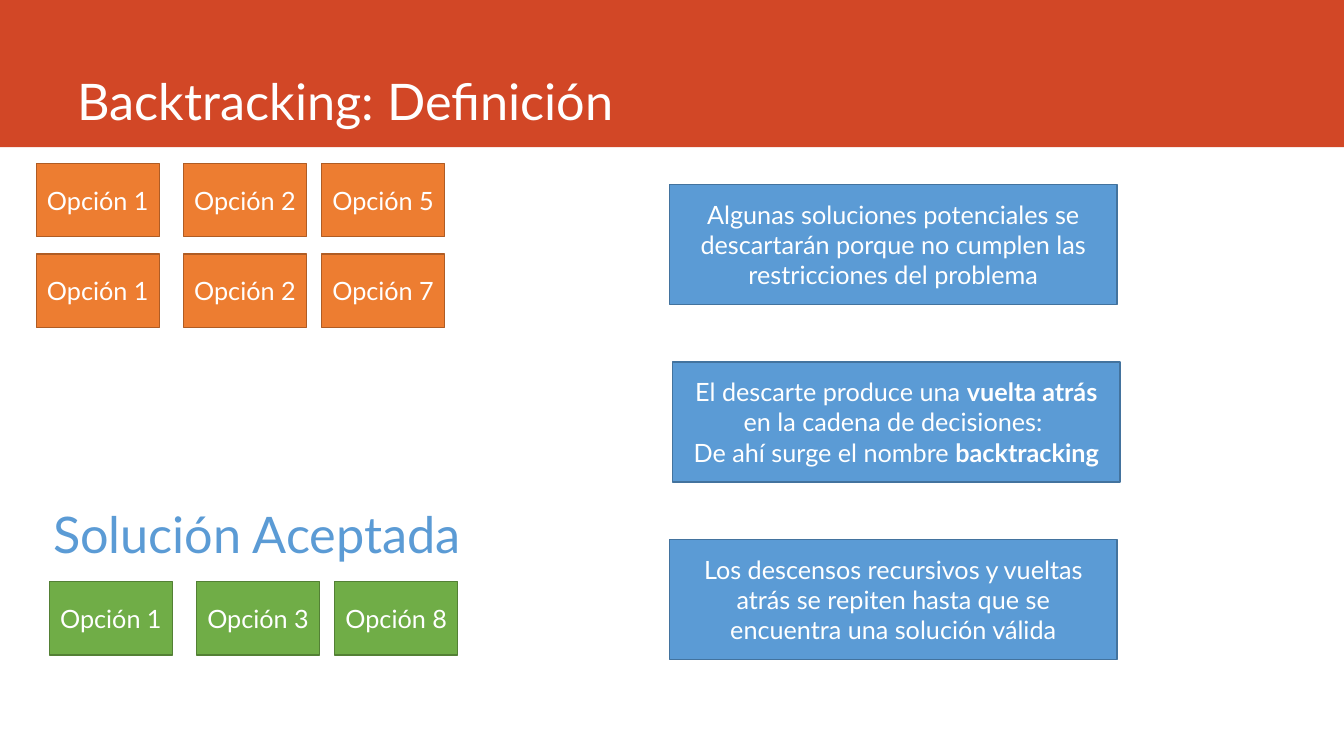
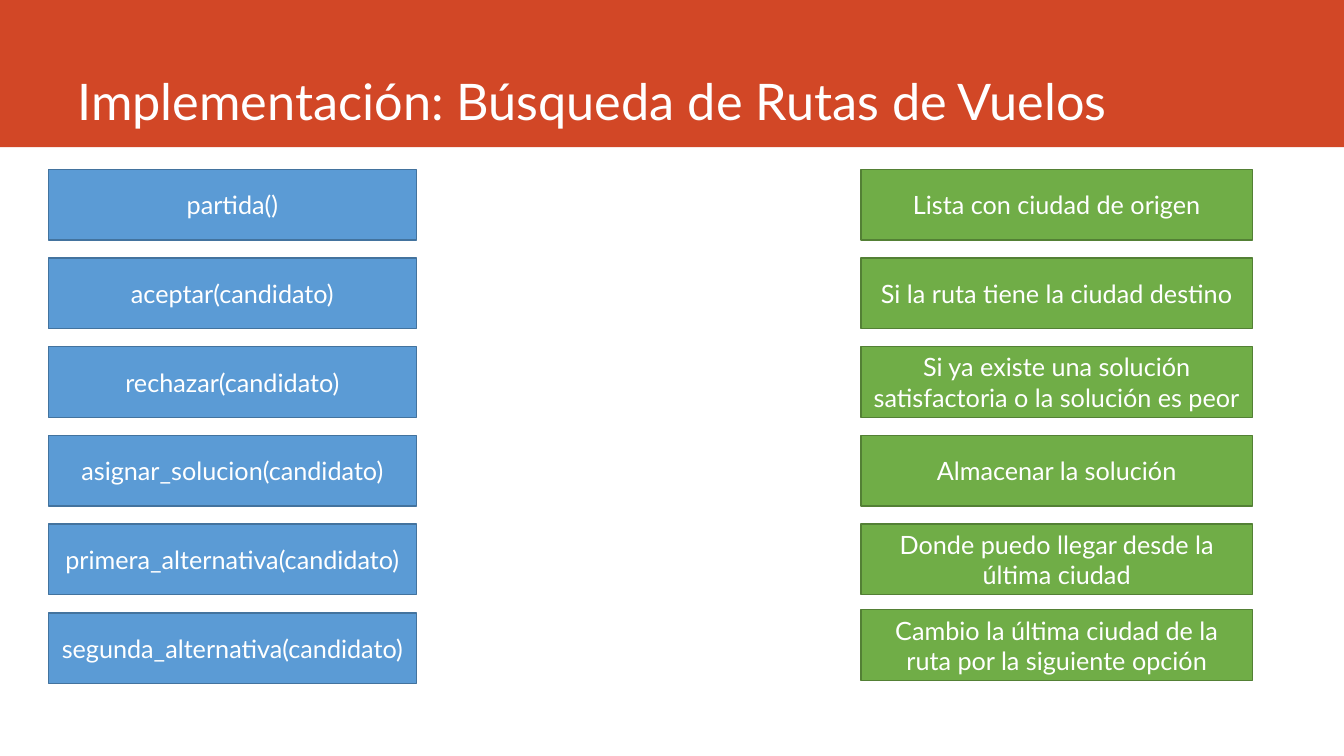
from pptx import Presentation
from pptx.dml.color import RGBColor
from pptx.enum.shapes import MSO_SHAPE
from pptx.enum.text import MSO_ANCHOR, PP_ALIGN
from pptx.util import Inches, Pt

rgb = RGBColor.from_string
FONT = "Lato"
WHITE, RED = "FFFFFF", "D24726"
BLUE = ("5B9BD5", "43739E")
ORANGE = ("ED7D31", "AF5C24")
GREEN = ("70AD47", "538035")

prs = Presentation()
prs.slide_width = Inches(13.33)
prs.slide_height = Inches(7.5)


def add_text(s, at, paragraphs, colors=None, size=18, color=WHITE,
             align=PP_ALIGN.CENTER, anchor=MSO_ANCHOR.MIDDLE):
    box = [Inches(v) for v in at]
    if colors:
        sp = s.shapes.add_shape(MSO_SHAPE.RECTANGLE, *box)
        sp.shadow.inherit = False
        sp.fill.solid()
        sp.fill.fore_color.rgb = rgb(colors[0])
        sp.line.color.rgb = rgb(colors[1])
        sp.line.width = Pt(1)
    else:
        sp = s.shapes.add_textbox(*box)
    tf = sp.text_frame
    tf.word_wrap = True
    tf.vertical_anchor = anchor
    for i, runs in enumerate(paragraphs):
        p = tf.add_paragraph() if i else tf.paragraphs[0]
        p.alignment = align
        for text, bold in runs:
            r = p.add_run()
            r.text = text
            r.font.name = FONT
            r.font.size = Pt(size)
            r.font.bold = bold
            r.font.color.rgb = rgb(color)


def add_slide(title):
    s = prs.slides.add_slide(prs.slide_layouts[6])
    band = s.shapes.add_shape(MSO_SHAPE.RECTANGLE, 0, 0, prs.slide_width, Inches(1.46))
    band.shadow.inherit = False
    band.fill.solid()
    band.fill.fore_color.rgb = rgb(RED)
    band.line.fill.background()
    add_text(s, (0.67, 0, 11.75, 1.34), [[(title, False)]], size=36,
             align=PP_ALIGN.LEFT, anchor=MSO_ANCHOR.BOTTOM)
    return s


s = add_slide("Backtracking: Definición")
option_rows = [
    (0.36, 1.62, ORANGE, (1, 2, 5)),
    (0.36, 2.52, ORANGE, (1, 2, 7)),
    (0.49, 5.77, GREEN, (1, 3, 8)),
]
for left, top, colors, numbers in option_rows:
    for dx, number in zip((0, 1.46, 2.83), numbers):
        add_text(s, (left + dx, top, 1.22, 0.73), [[(f"Opción {number}", False)]], colors)

add_text(s, (0.37, 4.94, 4.36, 0.71), [[("Solución Aceptada", False)]],
         size=36, color=BLUE[0], anchor=MSO_ANCHOR.TOP)

explanations = [
    (6.64, [[("Algunas soluciones potenciales se descartarán porque no cumplen "
              "las restricciones del problema", False)]]),
    (6.67, [[("El descarte produce una ", False), ("vuelta atrás ", True),
             ("en la cadena de decisiones: ", False)],
            [("De ahí surge el nombre ", False), ("backtracking", True)]]),
    (6.64, [[("Los descensos recursivos y vueltas atrás se repiten hasta que se "
              "encuentra una solución válida", False)]]),
]
for i, (left, paragraphs) in enumerate(explanations):
    add_text(s, (left, 1.83 + i * 1.76, 4.44, 1.19), paragraphs, BLUE)

s = add_slide("Implementación: Búsqueda de Rutas de Vuelos")
steps = [
    ("partida()", "Lista con ciudad de origen"),
    ("aceptar(candidato)", "Si la ruta tiene la ciudad destino"),
    ("rechazar(candidato)", "Si ya existe una solución satisfactoria o la solución es peor"),
    ("asignar_solucion(candidato)", "Almacenar la solución"),
    ("primera_alternativa(candidato)", "Donde puedo llegar desde la última ciudad"),
    ("segunda_alternativa(candidato)",
     "Cambio la última ciudad de la ruta por la siguiente opción"),
]
for i, (function, meaning) in enumerate(steps):
    top = 1.68 + i * 0.88
    meaning_top = 6.05 if i == len(steps) - 1 else top
    add_text(s, (0.48, top, 3.65, 0.7), [[(function, False)]], BLUE)
    add_text(s, (8.54, meaning_top, 3.88, 0.7), [[(meaning, False)]], GREEN)

prs.save("out.pptx")
